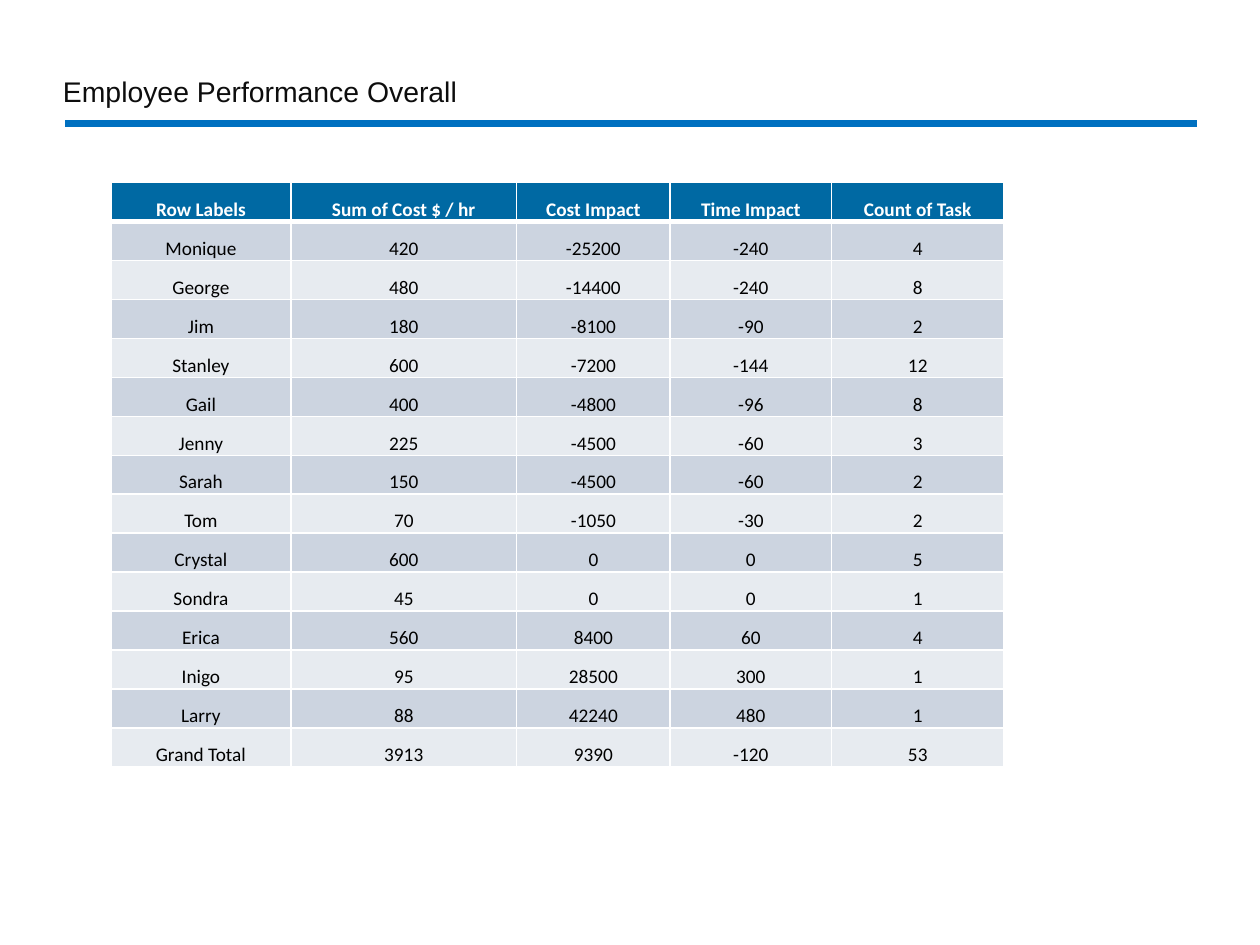
"""Build the employee performance slide with its summary table."""
import pptx
import pptx.dml.color
import pptx.enum.shapes
import pptx.enum.text
import pptx.oxml
import pptx.oxml.ns
import pptx.util
from pptx.util import Inches

RGBColor = pptx.dml.color.RGBColor
WHITE = RGBColor(0xFF, 0xFF, 0xFF)
BLACK = RGBColor(0x00, 0x00, 0x00)
TITLE_INK = RGBColor(0x0D, 0x0D, 0x0D)
RULE_BLUE = RGBColor(0x00, 0x70, 0xC0)
HEADER_BLUE = RGBColor(0x00, 0x69, 0xA3)
BANDS = (RGBColor(0xE7, 0xEB, 0xF0), RGBColor(0xCC, 0xD4, 0xE0))

HEADINGS = ("Row Labels", "Sum of Cost $ / hr", "Cost Impact", "Time Impact", "Count of Task")
EMPLOYEES = (
    ("Monique", 420, -25200, -240, 4),
    ("George", 480, -14400, -240, 8),
    ("Jim", 180, -8100, -90, 2),
    ("Stanley", 600, -7200, -144, 12),
    ("Gail", 400, -4800, -96, 8),
    ("Jenny", 225, -4500, -60, 3),
    ("Sarah", 150, -4500, -60, 2),
    ("Tom", 70, -1050, -30, 2),
    ("Crystal", 600, 0, 0, 5),
    ("Sondra", 45, 0, 0, 1),
    ("Erica", 560, 8400, 60, 4),
    ("Inigo", 95, 28500, 300, 1),
    ("Larry", 88, 42240, 480, 1),
    ("Grand Total", 3913, 9390, -120, 53),
)
COLUMN_WIDTHS = (1.43, 1.79, 1.22, 1.28, 1.37)


class SlideWriter:
    """Hold the style and the current slide."""

    title_font = "Arial"
    table_font = "Calibri"

    def __init__(self, slide):
        self.slide = slide

    def add_run(self, paragraph, text, font, size, color, bold=False):
        run = paragraph.add_run()
        run.text = text
        run.font.name = font
        run.font.size = pptx.util.Pt(size)
        run.font.color.rgb = color
        run.font.bold = bold

    def rule(self, left, right, y):
        divider = self.slide.shapes.add_connector(
            pptx.enum.shapes.MSO_CONNECTOR.STRAIGHT,
            Inches(left), Inches(y), Inches(right), Inches(y))
        divider.line.color.rgb = RULE_BLUE
        divider.line.width = pptx.util.Pt(4.5)
        properties = divider.element.spPr
        properties.append(pptx.oxml.parse_xml(
            f"<a:effectLst {pptx.oxml.ns.nsdecls('a')}/>"))

    def title(self, text, left, top, width, height):
        heading = self.slide.shapes.add_textbox(
            Inches(left), Inches(top), Inches(width), Inches(height)).text_frame
        heading.word_wrap = True
        heading.vertical_anchor = pptx.enum.text.MSO_ANCHOR.MIDDLE
        heading.margin_left = heading.margin_right = 0
        heading.margin_top = heading.margin_bottom = Inches(0.05)
        paragraph = heading.paragraphs[0]
        paragraph.line_spacing = 0.9
        self.add_run(paragraph, text, self.title_font, 16.2, TITLE_INK)

    def borders(self, cell, top, bottom):
        widths = {"lnL": 1, "lnR": 1, "lnT": top, "lnB": bottom}
        properties = cell._tc.get_or_add_tcPr()
        for position, (side, points) in enumerate(widths.items()):
            properties.insert(position, pptx.oxml.parse_xml(
                f"<a:{side} {pptx.oxml.ns.nsdecls('a')} w=\"{pptx.util.Pt(points)}\">"
                f"<a:solidFill><a:srgbClr val=\"{WHITE}\"/></a:solidFill></a:{side}>"))

    def cell(self, cell, text, row):
        is_header = row == 0
        cell.fill.solid()
        cell.fill.fore_color.rgb = HEADER_BLUE if is_header else BANDS[row % 2]
        cell.vertical_anchor = pptx.enum.text.MSO_ANCHOR.BOTTOM
        cell.margin_left = cell.margin_right = cell.margin_top = Inches(0.01)
        cell.margin_bottom = 0
        paragraph = cell.text_frame.paragraphs[0]
        paragraph.alignment = pptx.enum.text.PP_ALIGN.CENTER
        self.add_run(paragraph, text, self.table_font, 11,
                     WHITE if is_header else BLACK, is_header)
        self.borders(cell, top=3 if row == 1 else 1, bottom=3 if is_header else 1)

    def table(self, records, widths, left, top, height):
        grid = self.slide.shapes.add_table(
            len(records), len(widths), Inches(left), Inches(top),
            Inches(sum(widths)), Inches(height)).table
        for column, width in zip(grid.columns, widths):
            column.width = Inches(width)
        for row, record in enumerate(records):
            for column, value in enumerate(record):
                self.cell(grid.cell(row, column), str(value), row)


def main():
    presentation = pptx.Presentation()
    presentation.slide_width = Inches(10)
    presentation.slide_height = Inches(7.5)
    writer = SlideWriter(presentation.slides.add_slide(presentation.slide_layouts[6]))
    writer.rule(0.52, 9.5, 0.98)
    writer.title("Employee Performance Overall", 0.5, 0.59, 9, 0.3)
    writer.table((HEADINGS, *EMPLOYEES), COLUMN_WIDTHS, 0.88, 1.45, 4.64)
    presentation.save("out.pptx")


if __name__ == "__main__":
    main()
